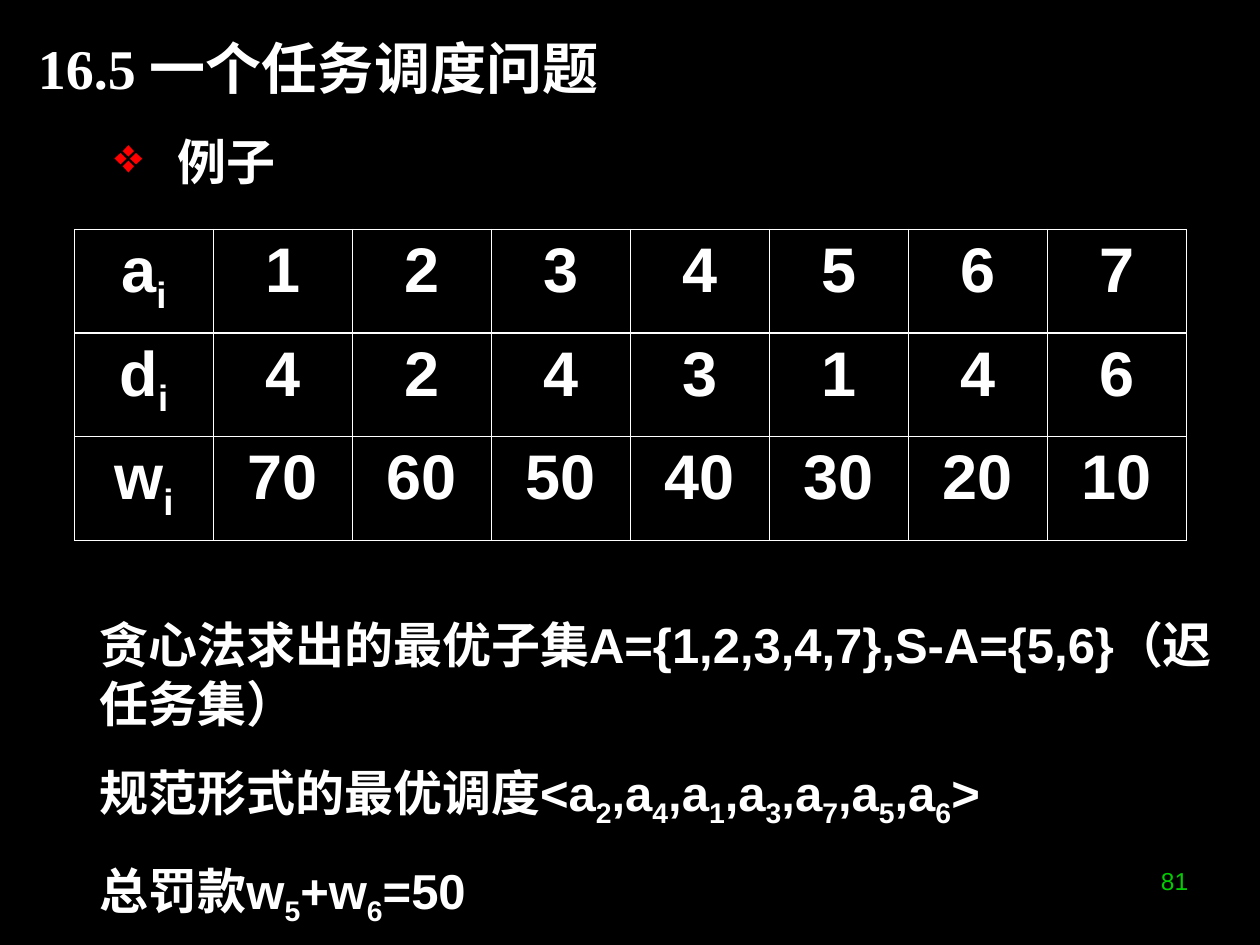
from dataclasses import dataclass

import pptx
import pptx.dml.color
import pptx.enum.text
import pptx.oxml.ns
import pptx.util
from lxml import etree

Pt = pptx.util.Pt
RGBColor = pptx.dml.color.RGBColor
Align = pptx.enum.text.PP_ALIGN
Anchor = pptx.enum.text.MSO_ANCHOR
qn = pptx.oxml.ns.qn


@dataclass(frozen=True)
class Theme:
    background: str = "000000"
    text: str = "FFFFFF"
    bullet: str = "FF0000"
    number: str = "00CC00"
    title_font: str = "Times New Roman"
    body_font: str = "Arial"
    title_size: int = 32
    body_size: int = 28
    table_size: int = 36
    number_size: int = 14
    thin_line: float = 0.45
    thick_line: float = 1.47


THEME = Theme()


def style(paragraph, size, color=THEME.text, font=THEME.body_font, bold=True):
    paragraph.font.size = Pt(size)
    paragraph.font.name = font
    paragraph.font.bold = bold
    paragraph.font.color.rgb = RGBColor.from_string(color)


def write(paragraph, text):
    first, *rest = text.split("_")
    paragraph.add_run().text = first
    for part in rest:
        subscript = paragraph.add_run()
        subscript.text = part[0]
        subscript._r.get_or_add_rPr().set("baseline", "-25000")
        if part[1:]:
            paragraph.add_run().text = part[1:]


def add_text_box(slide, box, anchor=Anchor.TOP):
    frame = slide.shapes.add_textbox(*map(Pt, box)).text_frame
    frame.word_wrap = True
    frame.vertical_anchor = anchor
    frame.margin_left = frame.margin_right = 0
    frame.margin_top = frame.margin_bottom = 0
    return frame


def add_title(slide, box, text):
    paragraph = add_text_box(slide, box, Anchor.MIDDLE).paragraphs[0]
    write(paragraph, text)
    style(paragraph, THEME.title_size, font=THEME.title_font)


def add_heading(slide, box, text):
    paragraph = add_text_box(slide, box).paragraphs[0]
    write(paragraph, text)
    properties = paragraph._p.get_or_add_pPr()
    properties.set("marL", str(Pt(36)))
    properties.set("indent", str(Pt(-36)))
    bullet_color = etree.SubElement(properties, qn("a:buClr"))
    etree.SubElement(bullet_color, qn("a:srgbClr"), val=THEME.bullet)
    etree.SubElement(properties, qn("a:buChar"), char="❖")
    style(paragraph, THEME.body_size)


def set_border(cell, side, width):
    line = etree.SubElement(cell._tc.get_or_add_tcPr(), qn(f"a:ln{side}"), w=str(Pt(width)))
    fill = etree.SubElement(line, qn("a:solidFill"))
    etree.SubElement(fill, qn("a:srgbClr"), val=THEME.text)


def add_task_table(slide, box, rows):
    table = slide.shapes.add_table(len(rows), len(rows[0]), *map(Pt, box)).table
    table.first_row = table.horz_banding = False
    for column in table.columns:
        column.width = Pt(box[2] / len(rows[0]))
    for row_index, values in enumerate(rows):
        table.rows[row_index].height = Pt(box[3] / len(rows))
        thick_side = {0: "B", 1: "T"}.get(row_index)
        for column_index, value in enumerate(values):
            cell = table.cell(row_index, column_index)
            for side in "LRTB":
                set_border(cell, side, THEME.thick_line if side == thick_side else THEME.thin_line)
            cell.fill.background()
            paragraph = cell.text_frame.paragraphs[0]
            write(paragraph, value)
            paragraph.alignment = Align.CENTER
            style(paragraph, THEME.table_size)


def add_conclusions(slide, box, lines):
    frame = add_text_box(slide, box)
    for index, line in enumerate(lines):
        paragraph = frame.add_paragraph() if index else frame.paragraphs[0]
        write(paragraph, line)
        if index:
            paragraph.space_before = Pt(17.5)
        style(paragraph, THEME.body_size)


def add_slide_number(slide, box, text):
    paragraph = add_text_box(slide, box).paragraphs[0]
    write(paragraph, text)
    paragraph.alignment = Align.RIGHT
    style(paragraph, THEME.number_size, THEME.number, bold=False)


def main():
    presentation = pptx.Presentation()
    presentation.slide_width, presentation.slide_height = Pt(720), Pt(540)
    slide = presentation.slides.add_slide(presentation.slide_layouts[6])
    slide.background.fill.solid()
    slide.background.fill.fore_color.rgb = RGBColor.from_string(THEME.background)

    add_title(slide, (21.6, 12, 564, 53), "16.5 一个任务调度问题")
    add_heading(slide, (65.5, 75, 640, 40), "例子")
    add_task_table(slide, (42.5, 131, 635.6, 177.6), [
        ["a_i", "1", "2", "3", "4", "5", "6", "7"],
        ["d_i", "4", "2", "4", "3", "1", "4", "6"],
        ["w_i", "70", "60", "50", "40", "30", "20", "10"],
    ])
    add_conclusions(slide, (57, 351, 656, 185), [
        "贪心法求出的最优子集A={1,2,3,4,7},S-A={5,6}（迟任务集）",
        "规范形式的最优调度<a_2,a_4,a_1,a_3,a_7,a_5,a_6>",
        "总罚款w_5+w_6=50",
    ])
    add_slide_number(slide, (518, 495, 161, 30), "81")
    presentation.save("out.pptx")


if __name__ == "__main__":
    main()
